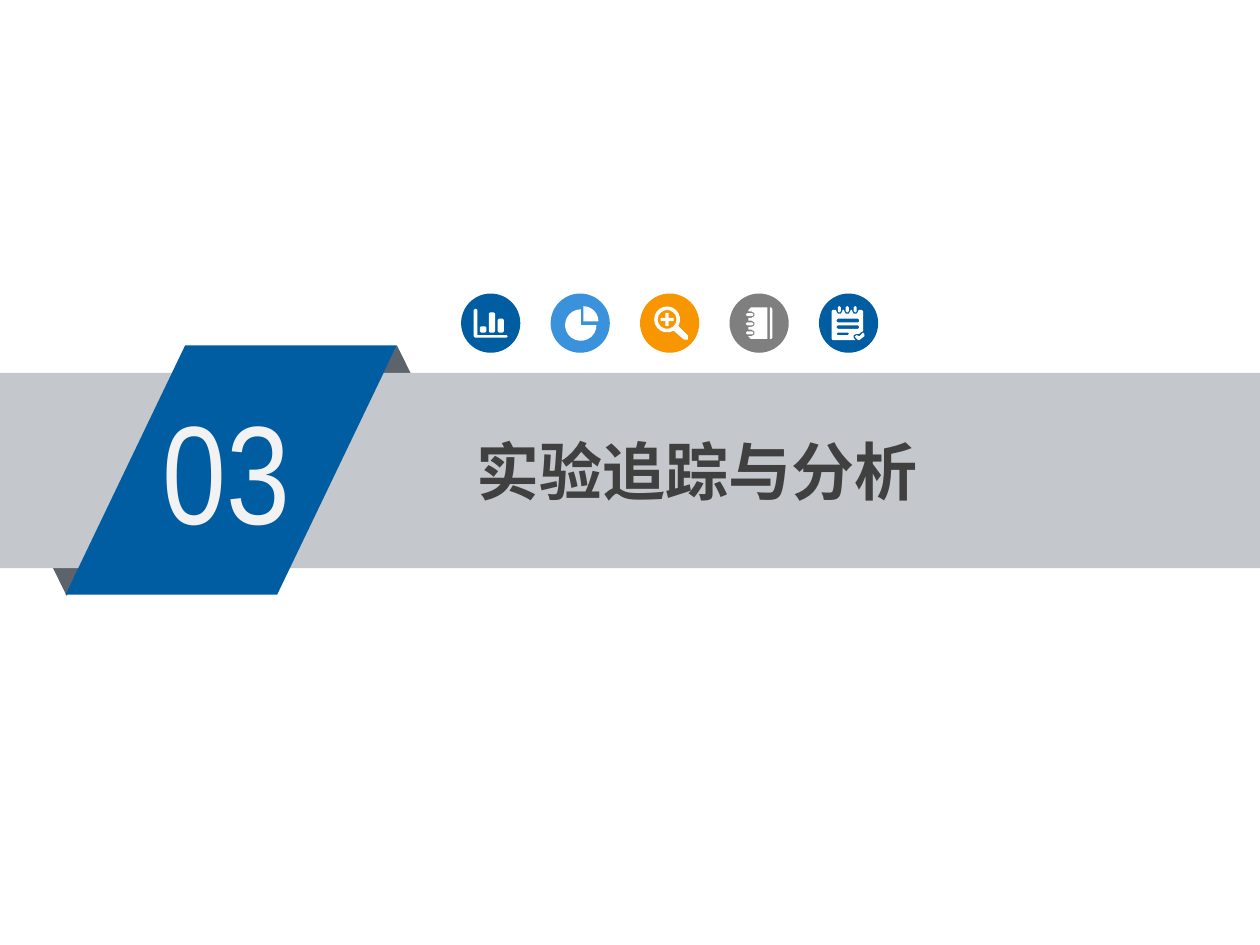
from math import cos, sin, radians
from lxml import etree
from pptx import Presentation
from pptx.dml.color import RGBColor
from pptx.enum.shapes import MSO_SHAPE as Kind
from pptx.enum.text import MSO_AUTO_SIZE as Fit
from pptx.oxml.ns import qn
from pptx.util import Inches, Pt

BLUE = RGBColor(0x00, 0x5D, 0xA2)
SKY = RGBColor(0x39, 0x92, 0xDB)
ORANGE = RGBColor(0xF7, 0x96, 0x00)
GREY = RGBColor(0x7F, 0x7F, 0x7F)
BAND = RGBColor(0xC4, 0xC7, 0xCB)
FOLD = RGBColor(0x5D, 0x63, 0x6A)
PALE = RGBColor(0xF2, 0xF2, 0xF2)
DARK = RGBColor(0x40, 0x40, 0x40)
WHITE = RGBColor(0xFF, 0xFF, 0xFF)


def arc(x, y, r, start, end):
    """Points on a circle, fewer on short arcs; degrees run clockwise from the right."""
    steps = 1 + int(abs(end - start) * r / 200)
    turns = [radians(start + (end - start) * i / steps) for i in range(steps + 1)]
    return [(x + r * cos(t), y + r * sin(t)) for t in turns]


def box(l, t, r, b, c=1):
    """Points of a rectangle with corners of radius c."""
    return (arc(l + c, t + c, c, 180, 270) + arc(r - c, t + c, c, 270, 360)
            + arc(r - c, b - c, c, 0, 90) + arc(l + c, b - c, c, 90, 180))


deck = Presentation()
deck.slide_width, deck.slide_height = Inches(10), Inches(7.5)
slide = deck.slides.add_slide(deck.slide_layouts[6])
shapes = slide.shapes

# Ribbon: two folds behind the band, the slanted tab in front
ribbon = [
    (Kind.ISOSCELES_TRIANGLE, 2.7, 2.74, 0.9, 0.91, FOLD, 0),
    (Kind.ISOSCELES_TRIANGLE, 0.08, 3.82, 0.9, 0.91, FOLD, 180),
    (Kind.RECTANGLE, 0, 2.96, 10, 1.55, BAND, 0),
    (Kind.PARALLELOGRAM, 0.52, 2.74, 2.63, 1.98, BLUE, 0),
]
for kind, x, y, w, h, color, turn in ribbon:
    part = shapes.add_shape(kind, Inches(x), Inches(y), Inches(w), Inches(h))
    part.shadow.inherit = False
    part.fill.solid()
    part.fill.fore_color.rgb = color
    part.line.fill.background()
    part.rotation = turn
part.adjustments[0] = 0.48

labels = [
    ("03", 1.22, 3.01, 1.45, 1.42, 0.07, 80, False, PALE, "Arial Narrow"),
    ("实验追踪与分析", 3.7, 3.39, 5.75, 0.68, 0.08, 36, True, DARK,
     "Noto Sans CJK SC"),
]
for text, x, y, w, h, pad, size, bold, color, face in labels:
    frame = shapes.add_textbox(Inches(x), Inches(y), Inches(w), Inches(h)).text_frame
    frame.word_wrap = True
    frame.auto_size = Fit.SHAPE_TO_FIT_TEXT
    frame.margin_left = frame.margin_right = Inches(pad)
    frame.margin_top = frame.margin_bottom = Inches(0.04)
    para = frame.paragraphs[0]
    para.text = text
    font = para.font
    font.size, font.bold, font.name = Pt(size), bold, face
    font.color.rgb = color
    etree.SubElement(font._rPr, qn("a:ea"), typeface=face)

# Icon outlines, in hundredths of an inch from the corner of their disc
chart = [
    [(10, 13), (11.5, 12), (13, 13), (13, 33), (36, 33), (37, 34),
     (36, 35), (11, 35), (10, 34)],
    box(15, 26, 20, 31), box(22, 15, 27, 31), box(29, 20, 34, 31),
]
pie = [
    [(26, 22)] + arc(26, 22, 12, 270, 360),
    [(24, 25)] + arc(24, 25, 12.5, 0, 270),
]
cx, cy, arm, half = 21.5, 20.5, 5.2, 1.3
plus = [(-half, -arm), (half, -arm), (half, -half), (arm, -half),
        (arm, half), (half, half), (half, arm), (-half, arm),
        (-half, half), (-arm, half), (-arm, -half), (-half, -half)]
lens = [
    arc(cx, cy, 10.3, 60, 390) + arc(36.5, 35, 2.2, -45, 135),
    arc(cx, cy, 7.5, 0, 360),
    [(cx + x, cy + y) for x, y in plus],
]
rings = [31.2, 24, 16.7]
spine = [p for y in rings
         for p in [(15, y + 2.5)] + arc(17.5, y, 2.5, 90, -90) + [(15, y - 2.5)]]
book = [
    [(30, 11), (30, 36)] + arc(17, 34, 2, 90, 180) + spine
    + arc(17, 13, 2, 180, 270),
    [(32, 11), (33, 11), (34, 12), (34, 35), (33, 36), (32, 36)],
] + [box(13, y - 1.2, 19, y + 1.2) for y in rings]
clips = [16.2, 22.5, 28.8]
edge = [p for x in clips
        for p in [(x - 2.5, 13)] + arc(x, 13.8, 2.5, 180, 0) + [(x + 2.5, 13)]]
note = [
    arc(11, 14, 1, 180, 270) + edge + arc(34, 14, 1, 270, 360)
    + [(35, 30), (33, 31), (32, 32), (30, 32), (27.5, 33), (27.5, 35),
       (29, 37)] + arc(11, 36, 1, 90, 180),
    [(36, 34), (32, 37), (31, 37), (29, 35), (28.5, 34), (30, 33),
     (32, 34), (34, 32), (35, 31), (36, 32)],
    box(14, 20, 32, 23), box(14, 25.3, 32, 28), box(14, 31, 24, 33),
] + [box(x - 1.2, 10, x + 1.2, 15) for x in clips]

icons = [(BLUE, chart), (SKY, pie), (ORANGE, lens), (GREY, book), (BLUE, note)]
top = Inches(2.33)
for i, (color, outline) in enumerate(icons):
    left = Inches(3.66 + 0.71 * i)
    disc = shapes.add_shape(Kind.OVAL, left, top, Inches(0.47), Inches(0.47))
    paths = [[(x * 100, y * 100) for x, y in points] for points in outline]
    first, *rest = paths
    pen = shapes.build_freeform(*first[0], scale=Inches(1) / 10000)
    pen.add_line_segments(first[1:], close=True)
    for points in rest:
        pen.move_to(*points[0])
        pen.add_line_segments(points[1:], close=True)
    mark = pen.convert_to_shape(left, top)
    for part, tint in ((disc, color), (mark, WHITE)):
        part.shadow.inherit = False
        part.fill.solid()
        part.fill.fore_color.rgb = tint
        part.line.fill.background()

deck.save("out.pptx")
